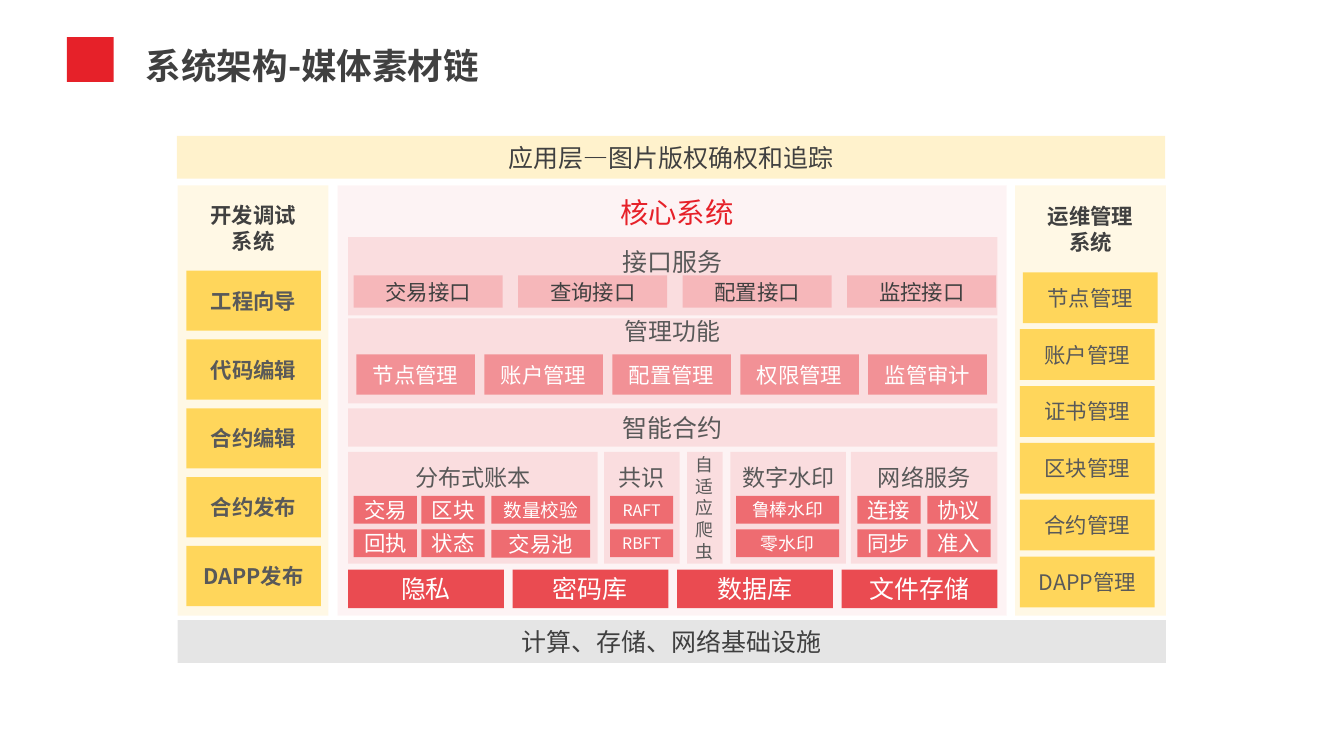
from lxml.etree import SubElement
from pptx import Presentation
from pptx.dml.color import RGBColor
from pptx.enum.shapes import MSO_SHAPE
from pptx.enum.text import MSO_ANCHOR, PP_ALIGN
from pptx.oxml.ns import qn
from pptx.util import Cm, Pt

RED = RGBColor(0xE6, 0x21, 0x29)
GOLD = RGBColor(0xFF, 0xC0, 0x00)
GREY = RGBColor(0x80, 0x80, 0x80)
DARK = RGBColor(0x40, 0x40, 0x40)
MID = RGBColor(0x59, 0x59, 0x59)
WHITE = RGBColor(0xFF, 0xFF, 0xFF)
FONT = "Noto Sans CJK SC"


class Board:
    def __init__(self, slide, font):
        self.slide = slide
        self.font = font

    def fill_text(self, tf, text, size, color, bold, align, pitch=None):
        tf.word_wrap = True
        tf.text = text
        for p in tf.paragraphs:
            p.alignment = align
            if pitch:
                p.line_spacing = Pt(pitch)
            p.font.name = self.font
            p.font.size = Pt(size)
            p.font.bold = bold
            p.font.color.rgb = color
            props = p._p.pPr.find(qn("a:defRPr"))
            SubElement(props, qn("a:ea")).set("typeface", self.font)

    def box(self, x, y, w, h, fill, opacity, text="", size=16.1, color=WHITE,
            bold=False, bottom=0, pitch=None):
        sp = self.slide.shapes.add_shape(
            MSO_SHAPE.RECTANGLE, Cm(x), Cm(y), Cm(w), Cm(h))
        sp.shadow.inherit = False
        sp.line.fill.background()
        sp.fill.solid()
        sp.fill.fore_color.rgb = fill
        if opacity < 100:
            clr = sp._element.spPr.find(".//" + qn("a:srgbClr"))
            SubElement(clr, qn("a:alpha")).set("val", str(opacity * 1000))
        if text:
            tf = sp.text_frame
            tf.margin_left = tf.margin_right = tf.margin_top = 0
            tf.margin_bottom = Cm(bottom)
            tf.vertical_anchor = MSO_ANCHOR.MIDDLE
            self.fill_text(tf, text, size, color, bold, PP_ALIGN.CENTER, pitch)

    def row(self, x, y, w, h, step, names, fill, opacity, **style):
        for i, name in enumerate(names):
            self.box(x + i * step, y, w, h, fill, opacity, name, **style)

    def column(self, x, y, w, h, step, names, fill, opacity, **style):
        for i, name in enumerate(names):
            self.box(x, y + i * step, w, h, fill, opacity, name, **style)

    def label(self, x, y, w, h, text, size, color, bold=False,
              align=PP_ALIGN.CENTER):
        tb = self.slide.shapes.add_textbox(Cm(x), Cm(y), Cm(w), Cm(h))
        self.fill_text(tb.text_frame, text, size, color, bold, align,
                       size * 1.2)


def main():
    prs = Presentation()
    prs.slide_width, prs.slide_height = Cm(35.71), Cm(20.09)
    s = Board(prs.slides.add_slide(prs.slide_layouts[6]), FONT)

    s.box(1.78, 0.99, 1.24, 1.19, RED, 100)
    s.label(3.63, 1.04, 9.47, 1.4, "系统架构-媒体素材链", 26.8, DARK, True,
            PP_ALIGN.LEFT)

    s.box(4.7, 3.61, 26.26, 1.14, GOLD, 20, "应用层—图片版权确权和追踪", 18.8, DARK)
    s.box(4.72, 16.48, 26.26, 1.14, GREY, 20, "计算、存储、网络基础设施", 18.8, DARK)
    for x, w, fill, opacity in ((4.72, 4.01, GOLD, 10), (8.97, 17.78, RED, 5),
                                (26.97, 4.01, GOLD, 10)):
        s.box(x, 4.93, w, 11.43, fill, opacity)

    s.label(5.33, 5.26, 2.79, 1.63, "开发调试\n系统", 16.1, DARK, True)
    s.column(4.95, 7.19, 3.58, 1.6, 1.83,
             ("工程向导", "代码编辑", "合约编辑", "合约发布", "DAPP发布"),
             GOLD, 60, color=MID, bold=True)

    s.label(27.58, 5.28, 2.79, 1.63, "运维管理\n系统", 16.1, DARK, True)
    s.box(27.18, 7.24, 3.58, 1.35, GOLD, 60, "节点管理", color=MID)
    s.column(27.1, 8.75, 3.58, 1.35, 1.51,
             ("账户管理", "证书管理", "区块管理", "合约管理", "DAPP管理"),
             GOLD, 60, color=MID)

    s.label(16.23, 5.05, 3.56, 1.17, "核心系统", 21.4, RED, align=PP_ALIGN.LEFT)
    for y, h, name, size, bottom in ((6.3, 2.08, "接口服务", 18.8, 0.76),
                                     (8.46, 2.26, "管理功能", 18, 1.6),
                                     (10.85, 1.02, "智能合约", 18.8, 0)):
        s.box(9.25, y, 17.25, h, RED, 10, name, size, MID, bottom=bottom)
    s.row(9.4, 7.32, 3.96, 0.86, 4.37,
          ("交易接口", "查询接口", "配置接口", "监控接口"), RED, 20, color=DARK)
    s.row(9.47, 9.42, 3.15, 1.07, 3.4,
          ("节点管理", "账户管理", "配置管理", "权限管理", "监管审计"), RED, 40)

    for x, w, name in ((9.25, 6.63, "分布式账本"), (16.05, 2.01, "共识"),
                       (19.41, 3.07, "数字水印"), (22.61, 3.89, "网络服务")):
        s.box(x, 12.01, w, 2.97, RED, 10, name, 17.4, MID, bottom=1.6)
    s.box(18.26, 12.01, 0.94, 2.97, RED, 10, "自\n适\n应\n爬\n虫", 13.4, MID,
          pitch=16.2)

    for x, w, names, size in ((9.4, 1.68, ("交易", "回执"), 16.1),
                              (11.2, 1.68, ("区块", "状态"), 16.1),
                              (16.21, 1.68, ("RAFT", "RBFT"), 12),
                              (19.56, 2.74, ("鲁棒水印", "零水印"), 13.4),
                              (22.78, 1.68, ("连接", "同步"), 16.1),
                              (24.64, 1.68, ("协议", "准入"), 16.1)):
        s.column(x, 13.18, w, 0.74, 0.89, names, RED, 60, size=size)
    s.box(13.06, 13.18, 2.62, 0.74, RED, 60, "数量校验", 14)
    s.box(13.06, 14.08, 2.62, 0.74, RED, 60, "交易池")

    s.row(9.25, 15.14, 4.14, 1.02, 4.37,
          ("隐私", "密码库", "数据库", "文件存储"), RED, 80, size=18.8)

    prs.save("out.pptx")


if __name__ == "__main__":
    main()
